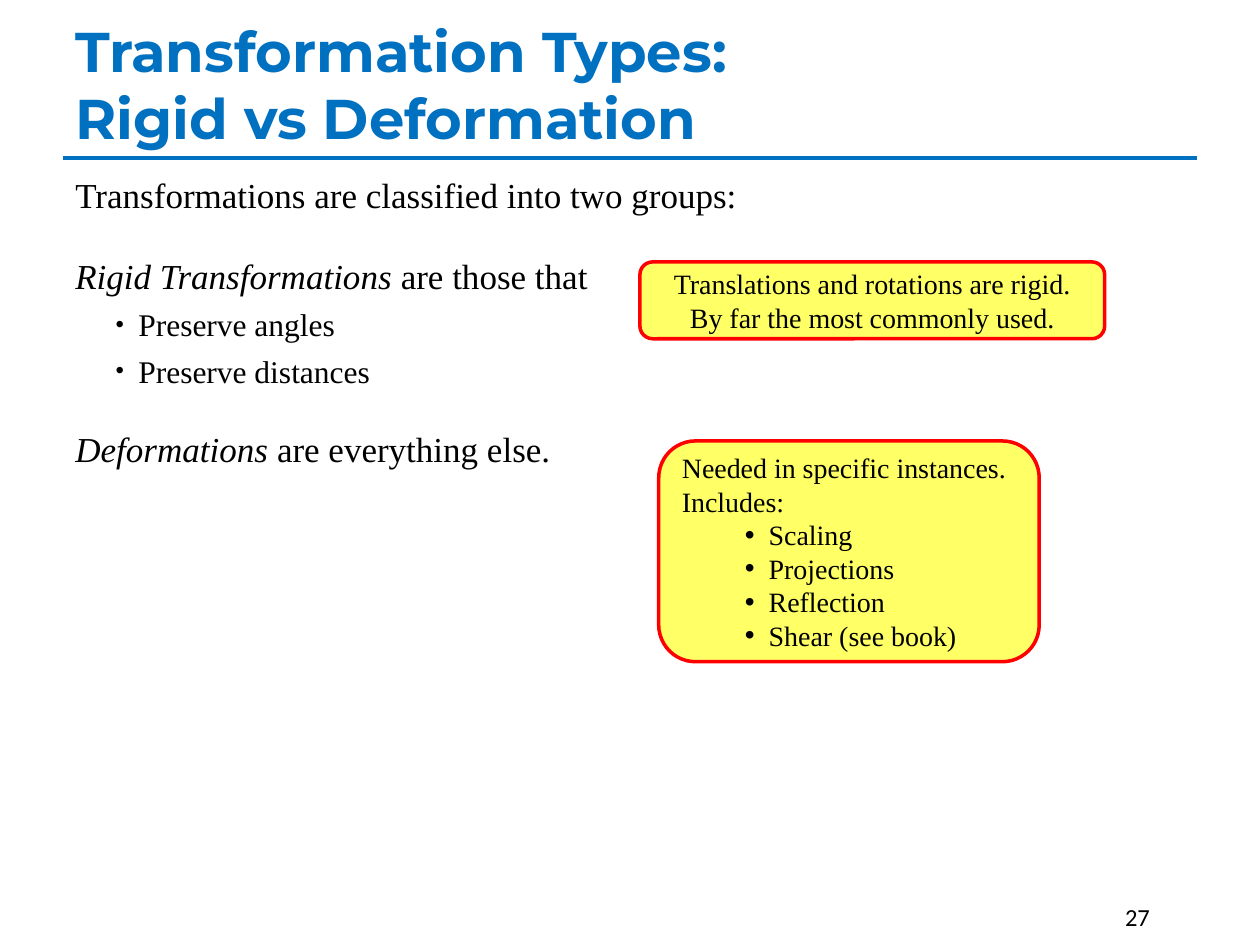
from lxml import etree
from pptx import Presentation
from pptx import util as u
from pptx.dml.color import RGBColor
from pptx.enum import shapes, text
from pptx.oxml.ns import qn

BLUE, BLACK, YELLOW, RED = "0070C0", "000000", "FFFF66", "FF0000"
SERIF = "Times New Roman"


def rgb(value):
    return RGBColor.from_string(value)


def write(frame, paragraphs, font, size, color=BLACK):
    """Each paragraph: (runs, options); each run: (wording, italic)."""
    frame.word_wrap = True
    for i, (runs, options) in enumerate(paragraphs):
        p = frame.paragraphs[0] if i == 0 else frame.add_paragraph()
        p.alignment = options.get("align", text.PP_ALIGN.LEFT)
        p.space_before = u.Pt(options.get("before", 0))
        for wording, italic in runs:
            run = p.add_run()
            run.text = wording
            run.font.name = font
            run.font.size = u.Pt(options.get("size", size))
            run.font.italic = italic
            run.font.color.rgb = rgb(color)
        if "bullet" in options:
            margin, hanging, percent = options["bullet"]
            pPr = p._p.get_or_add_pPr()
            pPr.set("lvl", "1")
            pPr.set("marL", str(u.Cm(margin)))
            pPr.set("indent", str(-u.Cm(hanging)))
            etree.SubElement(pPr, qn("a:buSzPct"), val=str(percent * 1000))
            etree.SubElement(pPr, qn("a:buFont"), typeface="Arial")
            etree.SubElement(pPr, qn("a:buChar"), char="•")


prs = Presentation()
prs.slide_width, prs.slide_height = u.Cm(25.4), u.Cm(19.05)
slide = prs.slides.add_slide(prs.slide_layouts[6])

# Rule under the title
rule = slide.shapes.add_connector(
    shapes.MSO_CONNECTOR.STRAIGHT, u.Cm(1.27), u.Cm(3.18), u.Cm(24.13), u.Cm(3.18))
rule.line.color.rgb = rgb(BLUE)
rule.line.width = u.Pt(2)
etree.SubElement(rule._element.spPr, qn("a:effectLst"))

# Title
title = slide.shapes.add_textbox(u.Cm(1.27), u.Cm(0.43), u.Cm(23.93), u.Cm(2.74)).text_frame
title.vertical_anchor = text.MSO_ANCHOR.BOTTOM
write(title, [([("Transformation Types: \vRigid vs Deformation", False)], {})],
      "Montserrat", 32, BLUE)
heading = title.paragraphs[0]
heading.runs[0].text = "Transformation Types: "
heading.add_line_break()
second_line = heading.add_run()
second_line.text = "Rigid vs Deformation"
for run in heading.runs:
    run.font.name = "Montserrat"
    run.font.size = u.Pt(32)
    run.font.bold = True
    run.font.color.rgb = rgb(BLUE)

# Page number
page = slide.shapes.add_textbox(u.Cm(22.43), u.Cm(18.06), u.Cm(1.7), u.Cm(1.02))
write(page.text_frame, [([("27", False)], {})], "Calibri", 14)

# Definitions
property_style = {"size": 18, "before": 5, "bullet": (1.27, 0.46, 76)}
definitions = slide.shapes.add_textbox(u.Cm(1.27), u.Cm(3.38), u.Cm(23.93), u.Cm(14.6))
write(definitions.text_frame, [
    ([("Transformations are classified into two groups:", False)], {"before": 6}),
    ([("Rigid Transformations", True), (" are those that", False)], {"before": 22}),
    ([("Preserve angles", False)], property_style),
    ([("Preserve distances", False)], property_style),
    ([("Deformations ", True), ("are everything else.", False)], {"before": 22}),
], SERIF, 20)

# Callouts beside each definition
centred = {"align": text.PP_ALIGN.CENTER}
example = {"bullet": (1.75, 0.48, 100)}
callouts = [
    ((12.9, 5.28, 9.37, 1.55), [
        ("Translations and rotations are rigid.", centred),
        ("By far the most commonly used.", centred)]),
    ((13.28, 8.89, 7.67, 4.45), [
        ("Needed in specific instances.", {}),
        ("Includes:", {}),
        ("Scaling", example),
        ("Projections", example),
        ("Reflection", example),
        ("Shear (see book)", example)]),
]
for box, lines in callouts:
    callout = slide.shapes.add_shape(
        shapes.MSO_SHAPE.ROUNDED_RECTANGLE, *[u.Cm(length) for length in box])
    callout.shadow.inherit = False
    callout.fill.solid()
    callout.fill.fore_color.rgb = rgb(YELLOW)
    callout.line.color.rgb = rgb(RED)
    callout.line.width = u.Pt(2)
    callout.text_frame.vertical_anchor = text.MSO_ANCHOR.MIDDLE
    write(callout.text_frame, [([(line, False)], style) for line, style in lines], SERIF, 16)

prs.save("out.pptx")
